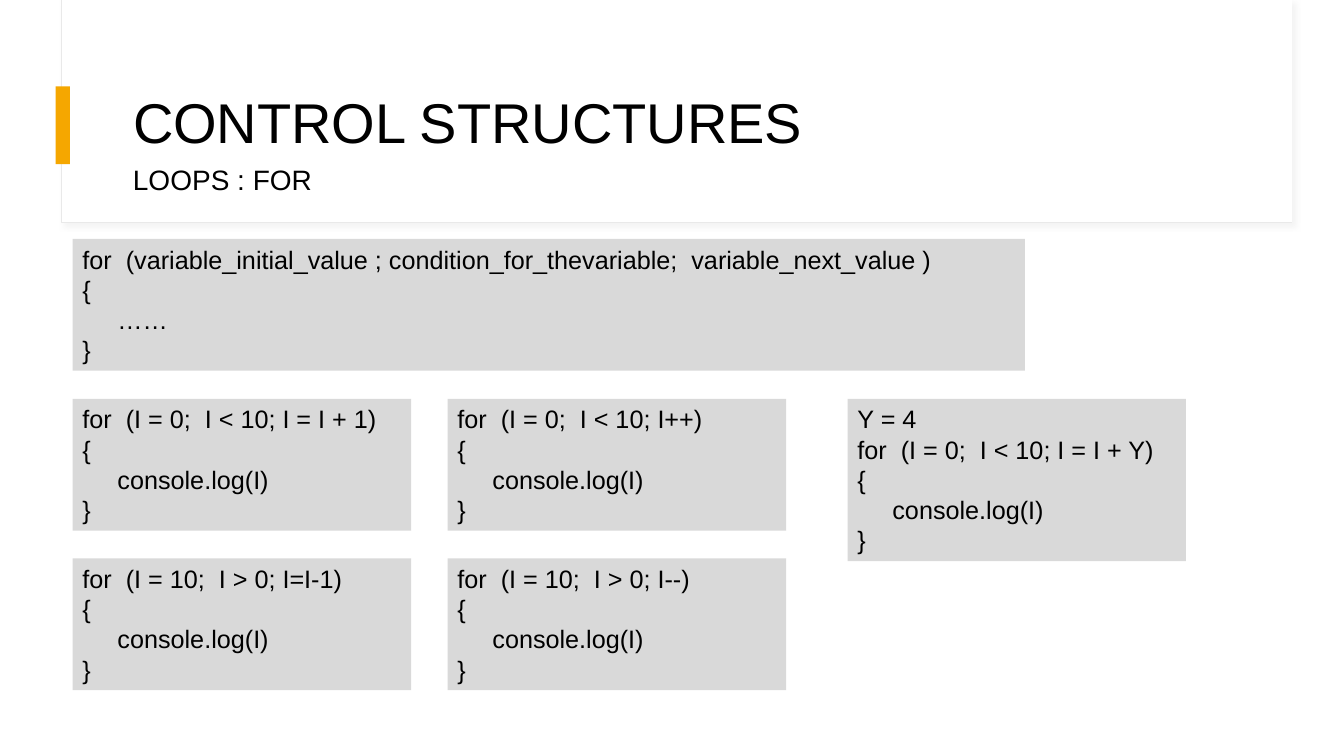
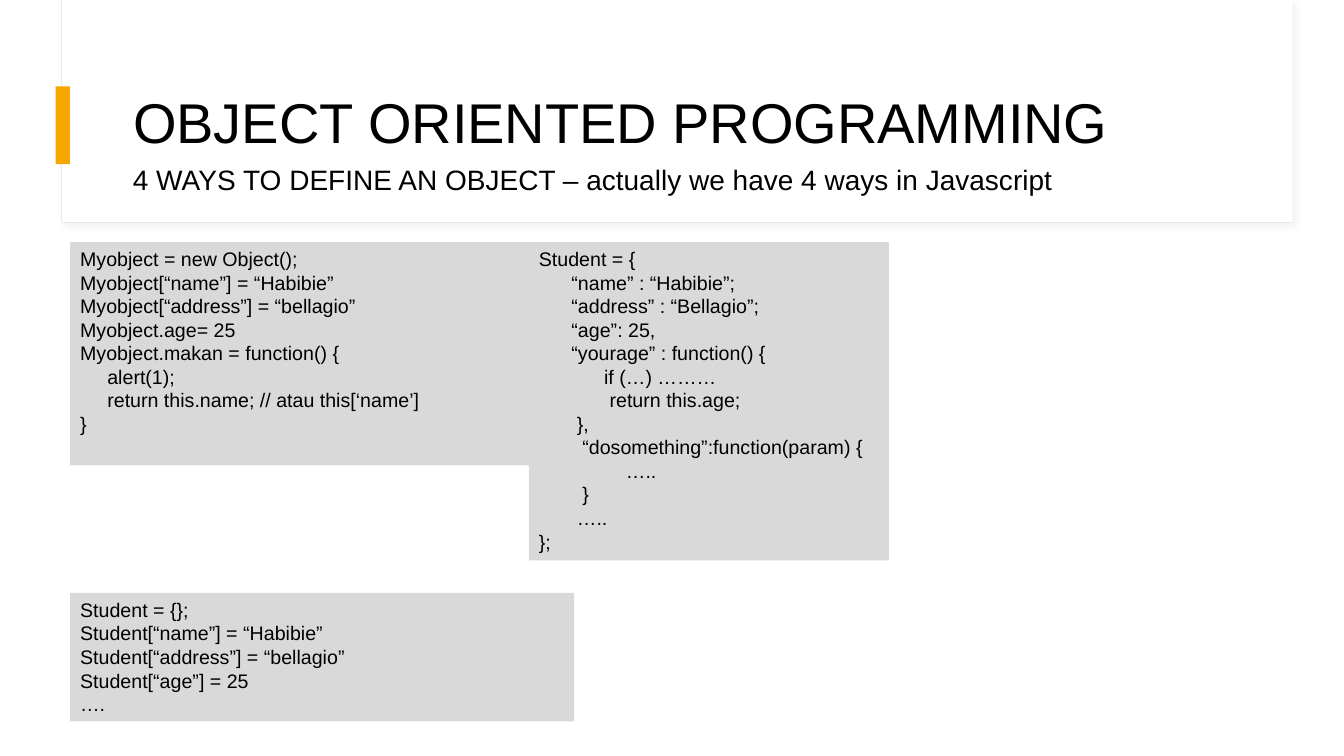
from lxml import etree
from pptx import Presentation
from pptx.dml.color import RGBColor
from pptx.enum.shapes import MSO_SHAPE as Shape
from pptx.enum.text import MSO_ANCHOR as Anchor, MSO_AUTO_SIZE as AutoSize, PP_ALIGN as Align
from pptx.oxml.ns import qn
from pptx.util import Cm, Pt

COLORS = {"white": "FFFFFF", "text": "000000", "code": "D9D9D9",
          "accent": "F5A700", "border": "E9E9E9", "shadow": "D9D9D9"}
FONT = "Arial"

# Content: each code box is (left, top, width, spare lines, lines), in centimetres
LOOP_COLUMNS = (1.83, 11.28, 21.36)
LOOP_ROWS = (10.05, 14.07)
LOOP_BODY = ["{", "     console.log(I)", "}"]
LOOPS = [  # column, row, lines before the body
    (0, 0, ["for  (I = 0;  I < 10; I = I + 1)"]),
    (1, 0, ["for  (I = 0;  I < 10; I++)"]),
    (0, 1, ["for  (I = 10;  I > 0; I=I-1)"]),
    (1, 1, ["for  (I = 10;  I > 0; I--)"]),
    (2, 0, ["Y = 4", "for  (I = 0;  I < 10; I = I + Y)"]),
]
LOOP_SYNTAX = [
    "for  (variable_initial_value ; condition_for_thevariable;  variable_next_value )",
    "{",
    "     ……",
    "}",
]
NEW_OBJECT = [
    "Myobject = new Object();",
    "Myobject[“name”] = “Habibie”",
    "Myobject[“address”] = “bellagio”",
    "Myobject.age= 25",
    "Myobject.makan = function() {",
    "     alert(1);",
    "     return this.name; // atau this[‘name’]",
    "}",
]
OBJECT_LITERAL = [
    "Student = {",
    "      “name” : “Habibie”;",
    "      “address” : “Bellagio”;",
    "      “age”: 25,",
    "      “yourage” : function() {",
    "            if (…) ………",
    "             return this.age;",
    "       },",
    "        “dosomething”:function(param) {",
    "                …..",
    "        }",
    "       …..",
    "};",
]
EMPTY_OBJECT = [
    "Student = {};",
    "Student[“name”] = “Habibie”",
    "Student[“address”] = “bellagio”",
    "Student[“age”] = 25",
    "….",
]
SLIDES = [
    {"title": "CONTROL STRUCTURES", "subtitle": "LOOPS : FOR", "size": 18,
     "boxes": [(1.83, 6.02, 24.0, 0, LOOP_SYNTAX)]
     + [(LOOP_COLUMNS[column], LOOP_ROWS[row], 8.53, 0, start + LOOP_BODY)
        for column, row, start in LOOPS]},
    {"title": "OBJECT ORIENTED PROGRAMMING",
     "subtitle": "4 WAYS TO DEFINE AN OBJECT – actually we have 4 ways in Javascript",
     "size": 14,
     "boxes": [(1.77, 6.1, 11.56, 1, NEW_OBJECT),
               (13.33, 6.1, 9.07, 0, OBJECT_LITERAL),
               (1.77, 14.94, 12.7, 0, EMPTY_OBJECT)]},
]


def color(name):
    return RGBColor.from_string(COLORS[name])


def write_text(shape, lines, size, anchor=Anchor.TOP, spacing=1.0):
    frame = shape.text_frame
    frame.word_wrap = True
    frame.auto_size = AutoSize.NONE
    frame.vertical_anchor = anchor
    for index, line in enumerate(lines):
        paragraph = frame.paragraphs[0] if index == 0 else frame.add_paragraph()
        paragraph.alignment = Align.LEFT
        paragraph.line_spacing = spacing
        run = paragraph.add_run()
        run.text = line
        run.font.name = FONT
        run.font.size = Pt(size)
        run.font.color.rgb = color("text")


def add_box(slide, left, top, width, height, fill, line=None):
    box = slide.shapes.add_shape(Shape.RECTANGLE, Cm(left), Cm(top), Cm(width), Cm(height))
    box.shadow.inherit = False
    box.fill.solid()
    box.fill.fore_color.rgb = color(fill)
    if line:
        box.line.color.rgb = color(line)
        box.line.width = Pt(0.75)
    else:
        box.line.fill.background()
    return box


def add_shadow(shape):
    effects = shape._element.spPr.find(qn("a:effectLst"))
    shadow = etree.SubElement(effects, qn("a:outerShdw"), blurRad=str(Pt(4)),
                              dist=str(Pt(3)), dir=str(45 * 60000), rotWithShape="0")
    tint = etree.SubElement(shadow, qn("a:srgbClr"), val=COLORS["shadow"])
    etree.SubElement(tint, qn("a:alpha"), val="30000")


def set_up_layout(layout, slide):
    """Place the title and move the header band, drawn on a slide, to the layout."""
    title = layout.placeholders[0]
    title.left, title.top, title.width, title.height = Cm(3.1), Cm(1.52), Cm(28.24), Cm(3.28)
    frame = add_box(slide, 1.55, 0, 31.01, 5.61, "white", line="border")
    add_shadow(frame)
    panel = add_box(slide, 1.57, 0, 30.99, 5.59, "white")
    accent = add_box(slide, 1.4, 2.18, 0.36, 1.96, "accent")
    for position, part in enumerate((frame, panel, accent), start=2):
        layout.shapes._spTree.insert(position, part._element)


def fill_slide(slide, content):
    write_text(slide.shapes.title, [content["title"]], 40, anchor=Anchor.MIDDLE, spacing=0.9)
    subtitle = slide.shapes.add_textbox(Cm(3.1), Cm(4.11), Cm(28.24), Cm(0.99))
    write_text(subtitle, [content["subtitle"]], 20, anchor=Anchor.MIDDLE, spacing=0.8)
    # Code boxes are as tall as their lines
    line_height = content["size"] * 0.0427
    for left, top, width, spare, lines in content["boxes"]:
        height = 0.25 + (len(lines) + spare) * line_height
        write_text(add_box(slide, left, top, width, height, "code"), lines, content["size"])


def main():
    presentation = Presentation()
    presentation.slide_width, presentation.slide_height = Cm(33.87), Cm(19.05)
    layout = presentation.slide_layouts[5]
    slides = [presentation.slides.add_slide(layout) for _ in SLIDES]
    set_up_layout(layout, slides[0])
    for slide, content in zip(slides, SLIDES):
        fill_slide(slide, content)
    presentation.save("out.pptx")


if __name__ == "__main__":
    main()
